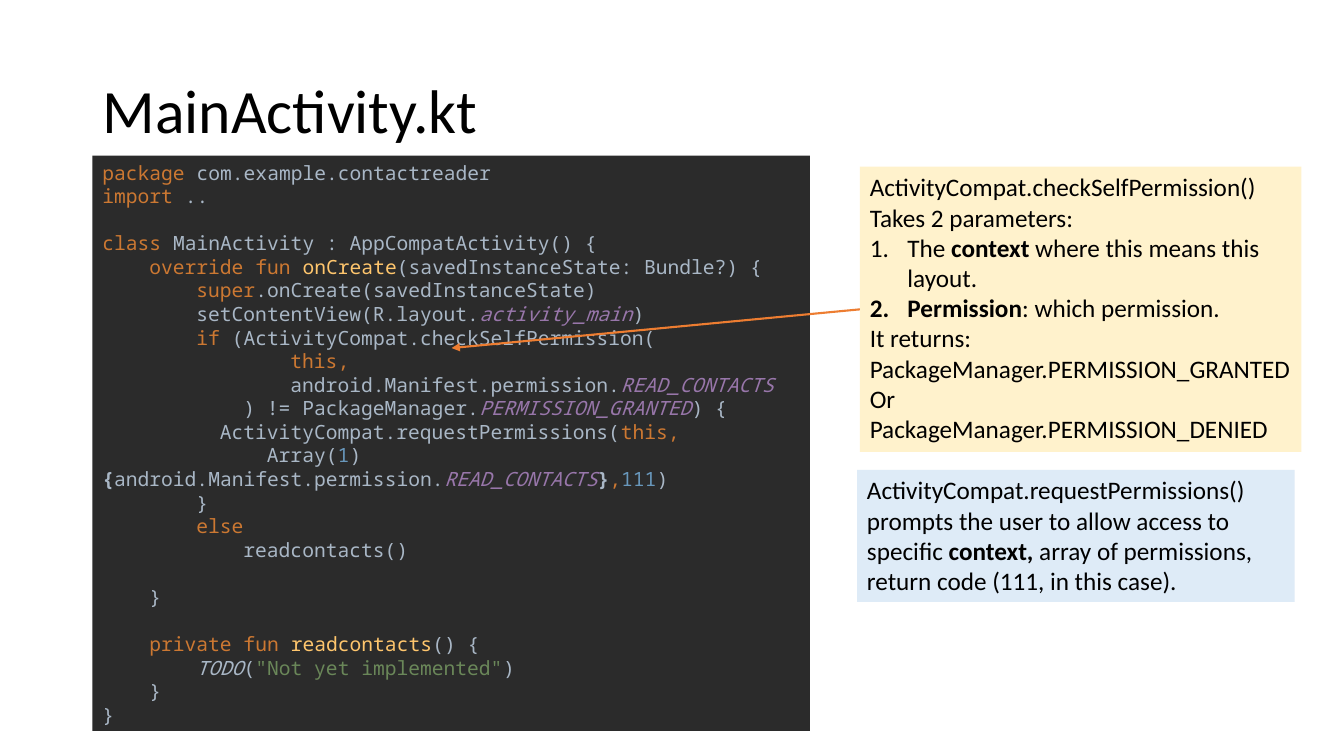
import pptx
import pptx.util
import pptx.dml.color
import pptx.enum.shapes
import pptx.enum.text
import pptx.oxml
import pptx.oxml.ns

Cm, Pt = pptx.util.Cm, pptx.util.Pt
RGBColor = pptx.dml.color.RGBColor

# Colours
BLACK = RGBColor(0x00, 0x00, 0x00)
DARK = RGBColor(0x2B, 0x2B, 0x2B)
CREAM = RGBColor(0xFF, 0xF2, 0xCC)
SKY = RGBColor(0xDE, 0xEB, 0xF7)
ORANGE = RGBColor(0xED, 0x7D, 0x31)
RUST = RGBColor(0xCC, 0x78, 0x32)
GREY = RGBColor(0xA9, 0xB7, 0xC6)
GOLD = RGBColor(0xFF, 0xC6, 0x6D)
PURPLE = RGBColor(0x98, 0x76, 0xAA)
BLUE = RGBColor(0x68, 0x97, 0xBB)
GREEN = RGBColor(0x6A, 0x87, 0x59)

# Run styles: colour, bold, italic
KEY = (RUST, False, False)
TEXT = (GREY, False, False)
FUNC = (GOLD, False, False)
CONST = (PURPLE, False, True)
NUM = (BLUE, False, False)
STR = (GREEN, False, False)
SLANT = (GREY, False, True)
BRACE = (GREY, True, False)
PLAIN = (BLACK, False, False)
BOLD = (BLACK, True, False)

# Code lines: indent in characters, empty lines above, runs
TITLE = "MainActivity.kt"
CODE = [
    (0, 0, [("package ", KEY), ("com.example.contactreader", TEXT)]),
    (0, 0, [("import ", KEY), ("..", TEXT)]),
    (0, 1, [("class ", KEY), ("MainActivity : AppCompatActivity() {", TEXT)]),
    (4, 0, [("override fun ", KEY), ("onCreate", FUNC),
            ("(savedInstanceState: Bundle?) {", TEXT)]),
    (8, 0, [("super", KEY), (".onCreate(savedInstanceState)", TEXT)]),
    (8, 0, [("setContentView(R.layout.", TEXT), ("activity_main", CONST), (")", TEXT)]),
    (8, 0, [("if ", KEY), ("(ActivityCompat.checkSelfPermission(", TEXT)]),
    (16, 0, [("this,", KEY)]),
    (16, 0, [("android.Manifest.permission.", TEXT), ("READ_CONTACTS", CONST)]),
    (12, 0, [(") != PackageManager.", TEXT), ("PERMISSION_GRANTED", CONST), (") {", TEXT)]),
    (10, 0, [("ActivityCompat.requestPermissions(", TEXT), ("this,", KEY)]),
    (14, 0, [("Array(", TEXT), ("1", NUM), (")", TEXT), ("{", BRACE),
             ("android.Manifest.permission.", TEXT), ("READ_CONTACTS", CONST),
             ("}", BRACE), (",", KEY), ("111", NUM), (")", TEXT)]),
    (8, 0, [("}", TEXT)]),
    (8, 0, [("else", KEY)]),
    (12, 0, [("readcontacts()", TEXT)]),
    (4, 1, [("}", TEXT)]),
    (4, 1, [("private fun ", KEY), ("readcontacts", FUNC), ("() {", TEXT)]),
    (8, 0, [("TODO", SLANT), ("(", TEXT), ('"Not yet implemented"', STR), (")", TEXT)]),
    (4, 0, [("}", TEXT)]),
    (0, 0, [("}", TEXT)]),
]

# Notes: numbered or not, runs
CHECK = [
    (False, [("ActivityCompat.checkSelfPermission() Takes 2 parameters:", PLAIN)]),
    (True, [("The ", PLAIN), ("context ", BOLD), ("where this means this layout.", PLAIN)]),
    (True, [("Permission", BOLD), (": which permission.", PLAIN)]),
    (False, [("It returns: PackageManager.PERMISSION_GRANTED", PLAIN)]),
    (False, [("Or", PLAIN)]),
    (False, [("PackageManager.PERMISSION_DENIED", PLAIN)]),
]
ASK = [
    (False, [("ActivityCompat.requestPermissions() prompts the user to allow access "
              "to specific ", PLAIN), ("context, ", BOLD),
             ("array of permissions, return code (111, in this case).", PLAIN)]),
]

MONO, SANS = "Noto Sans Mono", "Calibri"
STEP = Pt(8.4)    # width of one code character
LINE = Pt(16.85)  # height of one code line
HANG = Cm(0.95)   # hanging indent of numbered lines


def add_box(slide, place, fill, anchor):
    box = slide.shapes.add_shape(pptx.enum.shapes.MSO_SHAPE.RECTANGLE,
                                 *[Cm(n) for n in place])
    box.shadow.inherit = False
    box.fill.solid()
    box.fill.fore_color.rgb = fill
    box.line.fill.background()
    box.text_frame.word_wrap = True
    box.text_frame.vertical_anchor = anchor
    return box


def add_lines(box, lines, font, size):
    """Write each list of runs as a paragraph and return the paragraphs."""
    frame = box.text_frame
    paras = []
    for i, runs in enumerate(lines):
        para = frame.add_paragraph() if i else frame.paragraphs[0]
        para.alignment = pptx.enum.text.PP_ALIGN.LEFT
        for text, (color, bold, slant) in runs:
            run = para.add_run()
            run.text = text
            run.font.name, run.font.size = font, Pt(size)
            run.font.color.rgb = color
            run.font.bold, run.font.italic = bold, slant
        paras.append(para)
    return paras


def add_code(slide, place):
    box = add_box(slide, place, DARK, pptx.enum.text.MSO_ANCHOR.MIDDLE)
    paras = add_lines(box, [runs for _, _, runs in CODE], MONO, 14)
    for para, (depth, gap, _) in zip(paras, CODE):
        para.line_spacing = LINE
        para.space_before = gap * LINE
        props = para._p.get_or_add_pPr()
        props.set("marL", "0")
        props.set("indent", str(depth * STEP))


def add_note(slide, place, fill, lines):
    box = add_box(slide, place, fill, pptx.enum.text.MSO_ANCHOR.TOP)
    paras = add_lines(box, [runs for _, runs in lines], SANS, 18)
    for para, (count, _) in zip(paras, lines):
        if count:
            props = para._p.get_or_add_pPr()
            props.set("marL", str(HANG))
            props.set("indent", str(-HANG))
            mark = pptx.oxml.parse_xml(
                '<a:buAutoNum %s type="arabicPeriod"/>' % pptx.oxml.ns.nsdecls("a"))
            props.append(mark)
    return box


def add_arrow(slide, note, x, y):
    arrow = slide.shapes.add_connector(
        pptx.enum.shapes.MSO_CONNECTOR.STRAIGHT, note.left, note.top, Cm(x), Cm(y))
    arrow.begin_connect(note, 1)
    arrow.line.color.rgb = ORANGE
    arrow.line.width = Pt(1.5)
    names = pptx.oxml.ns.nsdecls("a")
    arrow.line._get_or_add_ln().append(
        pptx.oxml.parse_xml('<a:tailEnd %s type="triangle"/>' % names))
    arrow._element.spPr.append(pptx.oxml.parse_xml("<a:effectLst %s/>" % names))


def main():
    deck = pptx.Presentation()
    deck.slide_width, deck.slide_height = Cm(33.87), Cm(19.05)
    slide = deck.slides.add_slide(deck.slide_layouts[5])

    # Title
    head = slide.shapes.title
    head.left, head.top, head.width, head.height = Cm(2.33), Cm(1.01), Cm(29.21), Cm(3.68)
    head.text_frame.text = TITLE
    head.text_frame.vertical_anchor = pptx.enum.text.MSO_ANCHOR.MIDDLE
    para = head.text_frame.paragraphs[0]
    para.alignment = pptx.enum.text.PP_ALIGN.LEFT
    para.line_spacing = 0.9
    font = para.runs[0].font
    font.name, font.size, font.color.rgb = SANS, Pt(44), BLACK

    # Code, notes and arrow
    add_code(slide, (2.33, 3.92, 18.08, 14.5))
    note = add_note(slide, (21.67, 4.2, 11.13, 7.19), CREAM, CHECK)
    add_arrow(slide, note, 11.38, 8.77)
    add_note(slide, (21.6, 11.84, 11.03, 3.33), SKY, ASK)

    deck.save("out.pptx")


if __name__ == "__main__":
    main()
